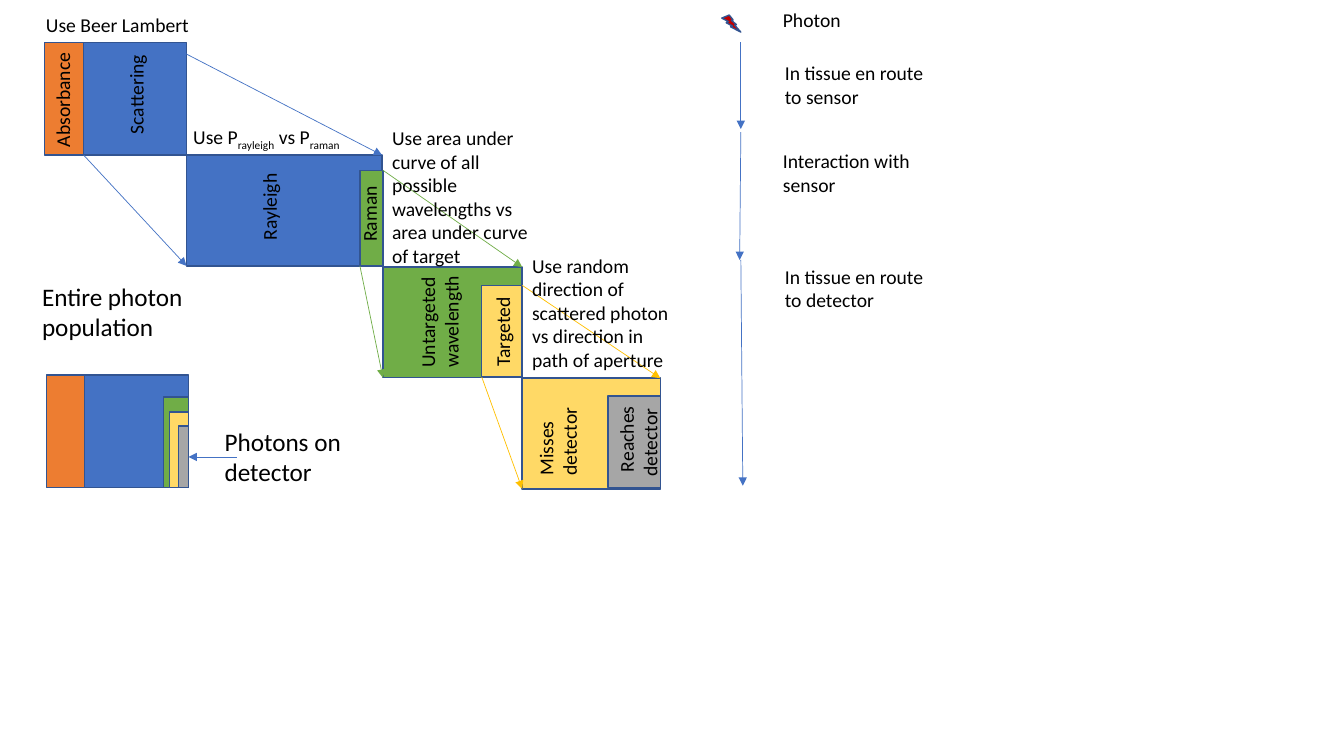
import pptx
import pptx.util
import pptx.dml.color
import pptx.enum.shapes
import pptx.enum.text
import pptx.oxml.ns
import lxml.etree

Cm = pptx.util.Cm
Pt = pptx.util.Pt
KINDS = pptx.enum.shapes.MSO_SHAPE

HUES = {
    "orange": "ED7D31", "blue": "4472C4", "green": "70AD47", "yellow": "FFD966",
    "gold": "FFC000", "gray": "A6A6A6", "red": "C00000", "edge": "325491",
    "black": "000000",
}

BLOCKS = {
    "absorb": ("orange", 1.12, 1.07, 0.99, 2.84),
    "scatter": ("blue", 2.11, 1.07, 2.59, 2.84),
    "rayleigh": ("blue", 4.7, 3.91, 4.93, 2.79),
    "raman": ("green", 9.07, 4.29, 0.58, 2.41),
    "other": ("green", 9.65, 6.73, 3.51, 2.79),
    "target": ("yellow", 12.14, 7.19, 1.02, 2.31),
    "misses": ("yellow", 13.16, 9.53, 3.48, 2.79),
    "reaches": ("gray", 15.32, 9.98, 1.32, 2.31),
}

ZOOMS = [
    ("scatter", "rayleigh", "blue", (-0.43, 0.07)),
    ("raman", "other", "green", (0, 0)),
    ("target", "misses", "gold", (0, 0)),
]

RIGHT, BASE = 4.75, 12.29
NESTED = [
    ("blue", 2.62, 2.84), ("green", 0.63, 2.29),
    ("yellow", 0.48, 1.91), ("gray", 0.25, 1.55),
]

STAGES = [
    (18.67, 1.07, 18.67, 3.25),
    (18.67, 3.33, 18.64, 6.55),
    (18.67, 6.55, 18.72, 12.24),
]

UPRIGHT = [
    ("Absorbance", -0.25, 1.7, 3.66, 0.86),
    ("Rayleigh", 5.61, 4.7, 2.36, 0.86),
    ("Scattering", 1.6, 1.37, 3.66, 0.86),
    ("Raman", 8.18, 4.78, 2.26, 0.86),
    ("Untargeted wavelength", 9.65, 7.37, 2.84, 1.45),
    ("Targeted", 11.51, 7.9, 2.31, 0.86),
    (" Reaches detector", 14.25, 9.7, 3.66, 1.45),
    ("Misses detector", 12.22, 9.68, 3.66, 1.45),
]

NOTES = [
    ("Use Beer Lambert", 0.91, 0.2, 4.15, 0.86),
    ("Use area under curve of all possible wavelengths vs area under curve of target",
     9.63, 3.05, 4.11, 3.84),
    ("Use random direction of scattered photon vs direction in path of aperture",
     13.16, 6.27, 4.11, 3.25),
    ("Photon", 19.48, 0.08, 2.03, 0.86),
    ("In tissue en route to sensor", 19.53, 1.42, 4.11, 1.45),
    ("Interaction with sensor", 19.48, 3.63, 4.11, 1.45),
    ("In tissue en route to detector", 19.53, 6.55, 4.11, 1.45),
]

HEADS = [
    ("Entire photon population", 0.81, 6.96, 4.06, 2.57),
    ("Photons on detector", 5.41, 10.62, 4.06, 1.8),
]

ODDS = [("Use P", False), ("rayleigh", True), (" vs P", False), ("raman", True)]


def tint(name):
    return pptx.dml.color.RGBColor.from_string(HUES[name])


def add_block(slide, hue, x, y, w, h, kind=KINDS.RECTANGLE):
    block = slide.shapes.add_shape(kind, Cm(x), Cm(y), Cm(w), Cm(h))
    block.shadow.inherit = False
    block.fill.solid()
    block.fill.fore_color.rgb = tint(hue)
    block.line.color.rgb = tint("edge")
    block.line.width = Pt(1)
    return block


def add_arrow(slide, hue, x1, y1, x2, y2):
    arrow = slide.shapes.add_connector(
        pptx.enum.shapes.MSO_CONNECTOR.STRAIGHT, Cm(x1), Cm(y1), Cm(x2), Cm(y2))
    arrow.line.color.rgb = tint(hue)
    arrow.line.width = Pt(0.5)
    qn = pptx.oxml.ns.qn
    line = arrow.line._get_or_add_ln()
    lxml.etree.SubElement(line, qn("a:tailEnd"), type="triangle")
    lxml.etree.SubElement(arrow._element.spPr, qn("a:effectLst"))
    return arrow


def add_label(slide, parts, x, y, w, h, size=14, turn=0):
    box = slide.shapes.add_textbox(Cm(x), Cm(y), Cm(w), Cm(h))
    box.rotation = turn
    frame = box.text_frame
    frame.word_wrap = True
    frame.auto_size = pptx.enum.text.MSO_AUTO_SIZE.SHAPE_TO_FIT_TEXT
    for text, low in parts:
        run = frame.paragraphs[0].add_run()
        run.text = text
        run.font.name = "Calibri"
        run.font.size = Pt(size)
        run.font.color.rgb = tint("black")
        if low:
            run._r.get_or_add_rPr().set("baseline", "-25000")


def main():
    deck = pptx.Presentation()
    deck.slide_width, deck.slide_height = Cm(33.87), Cm(19.05)
    slide = deck.slides.add_slide(deck.slide_layouts[6])

    for block in BLOCKS.values():
        add_block(slide, *block)

    for part, whole, hue, (dx, dy) in ZOOMS:
        px, py, pw, ph = BLOCKS[part][1:]
        wx, wy, ww, wh = BLOCKS[whole][1:]
        add_arrow(slide, hue, px + pw + dx, py + dy, wx + ww, wy)
        add_arrow(slide, hue, px, py + ph, wx, wy + wh)

    add_block(slide, "orange", 1.17, 9.45, 0.99, 2.84)
    for hue, w, h in NESTED:
        last = add_block(slide, hue, RIGHT - w, BASE - h, w, h)

    for stage in STAGES:
        add_arrow(slide, "blue", *stage)
    add_block(slide, "red", 18.19, 0.38, 0.48, 0.43, KINDS.LIGHTNING_BOLT)

    for labels, size, turn in ((UPRIGHT, 14, 270), (NOTES, 14, 0), (HEADS, 18, 0)):
        for text, *place in labels:
            add_label(slide, [(text, False)], *place, size, turn)
    add_label(slide, ODDS, 4.62, 3.02, 5.46, 0.86)

    mid = BASE - NESTED[-1][2] / 2
    add_arrow(slide, "blue", 5.97, mid, RIGHT, mid).end_connect(last, 3)

    deck.save("out.pptx")


if __name__ == "__main__":
    main()
